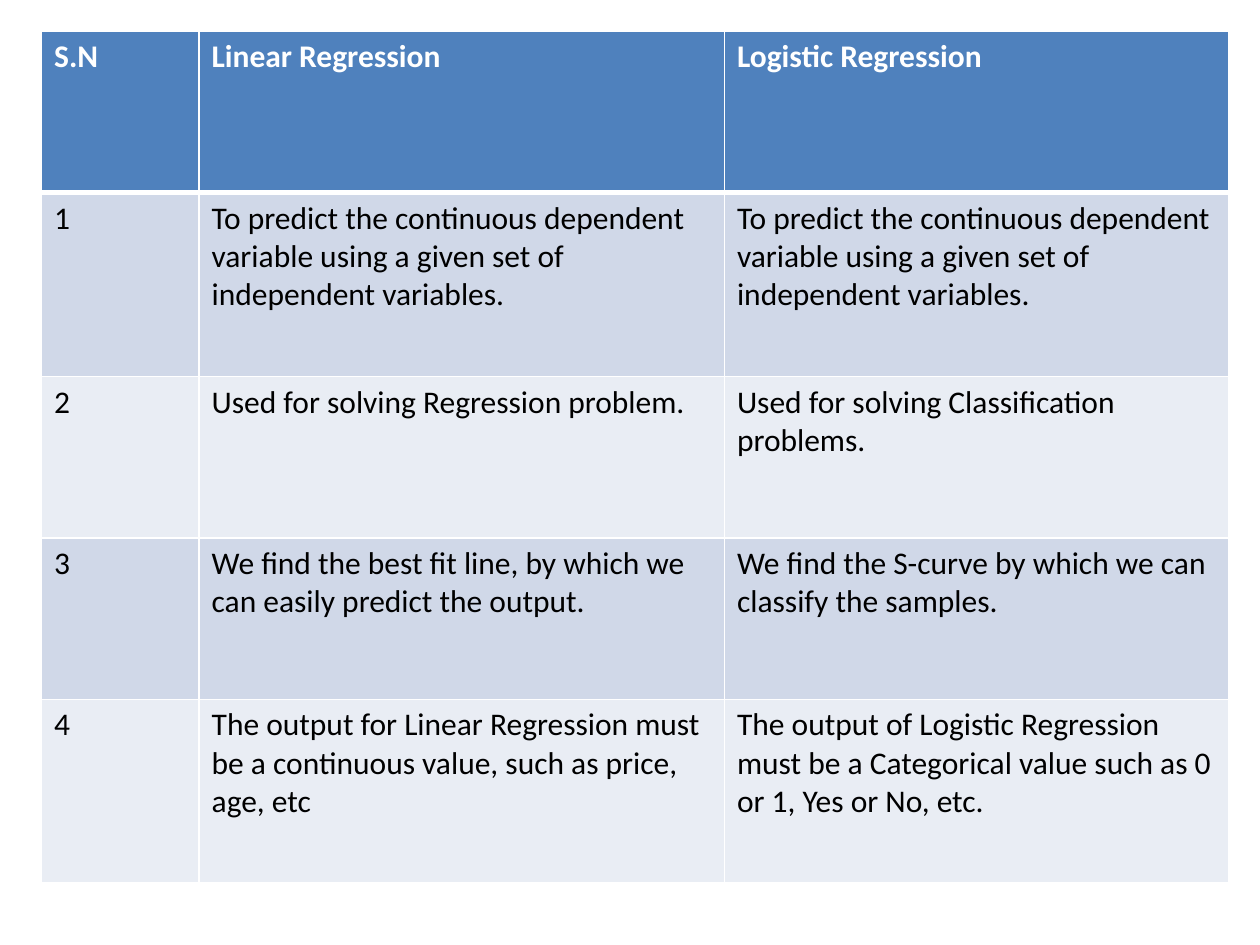
from pptx import Presentation
from pptx.dml.color import RGBColor
from pptx.oxml import parse_xml
from pptx.oxml.ns import nsdecls
from pptx.util import Inches, Pt


def rgb(color):
    return RGBColor.from_string(color)


def add_border(cell, side, width, color):
    cell._tc.get_or_add_tcPr().append(parse_xml(
        f'<a:ln{side} {nsdecls("a")} w="{Pt(width)}"><a:solidFill>'
        f'<a:srgbClr val="{color}"/></a:solidFill></a:ln{side}>'))


prs = Presentation()
prs.slide_width = Inches(10)
prs.slide_height = Inches(7.5)
s = prs.slides.add_slide(prs.slide_layouts[6])

# Table content and grid
rows = [
    ("S.N", "Linear Regression", "Logistic Regression"),
    ("1",
     "To predict the continuous dependent variable using a given set of independent variables.",
     "To predict the continuous dependent variable using a given set of independent variables."),
    ("2",
     "Used for solving Regression problem.",
     "Used for solving Classification problems."),
    ("3",
     "We find the best fit line, by which we can easily predict the output.",
     "We find the S-curve by which we can classify the samples."),
    ("4",
     "The output for Linear Regression must be a continuous value, such as price, age, etc",
     "The output of Logistic Regression must be a Categorical value such as 0 or 1, Yes or No, etc."),
]
col_widths = [1.25, 4.17, 4]
row_heights = [1.28, 1.46, 1.28, 1.28, 1.46]
band_fills = ["E9EDF4", "D0D8E8"]

table = s.shapes.add_table(
    len(rows), len(col_widths), Inches(0.33), Inches(0.25),
    Inches(sum(col_widths)), Inches(sum(row_heights))).table
for col, width in zip(table.columns, col_widths):
    col.width = Inches(width)
for row, height in zip(table.rows, row_heights):
    row.height = Inches(height)

# Cells: white borders, with a thick rule under the header
for i, texts in enumerate(rows):
    header = i == 0
    for j, text in enumerate(texts):
        cell = table.cell(i, j)
        widths = {"L": 1, "R": 1, "T": 3 if i == 1 else 1, "B": 3 if header else 1}
        for side, width in widths.items():
            add_border(cell, side, width, "FFFFFF")
        cell.fill.solid()
        cell.fill.fore_color.rgb = rgb("4F81BD" if header else band_fills[i % 2])
        r = cell.text_frame.paragraphs[0].add_run()
        r.text = text
        r.font.name = "Calibri"
        r.font.size = Pt(18)
        r.font.bold = header
        r.font.color.rgb = rgb("FFFFFF" if header else "000000")

prs.save("out.pptx")
